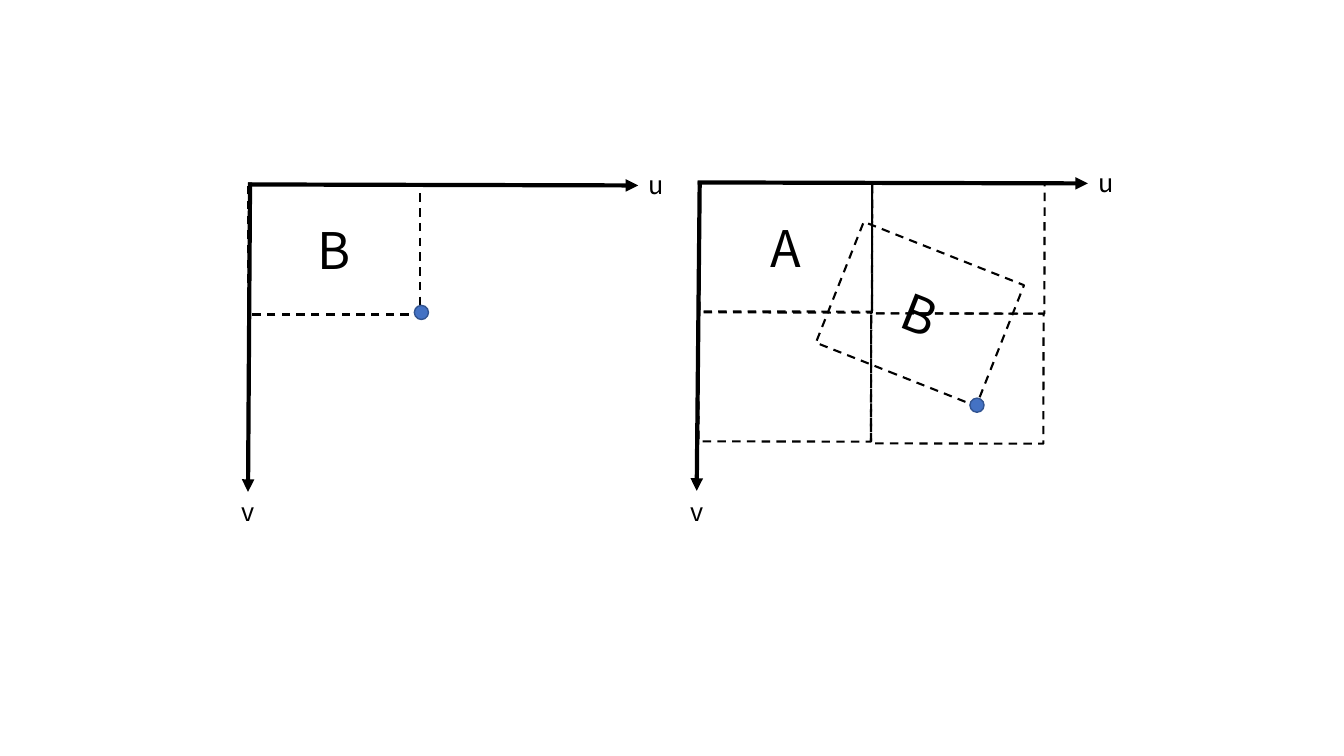
from lxml import etree
from pptx import Presentation
from pptx.dml.color import RGBColor
from pptx.enum.dml import MSO_LINE
from pptx.enum.shapes import MSO_CONNECTOR, MSO_SHAPE
from pptx.enum.text import MSO_ANCHOR, MSO_AUTO_SIZE, PP_ALIGN
from pptx.oxml.ns import qn
from pptx.util import Pt

PX = 9144  # 100 px to the inch
FONT = "Noto Sans CJK SC"
BLACK, BLUE, DARK_BLUE = "000000", "4472C4", "325491"
CELL_W, CELL_H, DOT = 171, 129, 14

# Content: cells are (text, left, top, rotation)
CELLS = [
    ("B", 246, 183, 0),
    ("A", 694, 181, 0.1),
    ("B", 827, 247, 21.6),
    ("", 865, 182, 0.1),
    ("", 864, 311, 0.1),
    ("", 693, 309, 0.1),
]
# Axes are (start x, start y, end x, end y)
AXES = [
    (246, 183, 633, 184),
    (248, 181, 246, 488),
    (692, 181, 1079, 182),
    (694, 180, 691, 487),
]
# Labels are (text, left, top, width)
LABELS = [
    ("u", 633, 163, 34),
    ("v", 230, 487, 32),
    ("u", 1080, 161, 34),
    ("v", 675, 487, 32),
]
DOTS = [(411, 303), (962, 395)]


def emu(*lengths):
    return [length * PX for length in lengths]


def color(hex_code):
    return RGBColor.from_string(hex_code)


def set_line(line, hex_code, width):
    line.color.rgb = color(hex_code)
    line.width = Pt(width)


def write(shape, text, size):
    para = shape.text_frame.paragraphs[0]
    para.text = text
    para.alignment = PP_ALIGN.CENTER
    para.font.name = FONT
    para.font.size = Pt(size)
    para.font.color.rgb = color(BLACK)


deck = Presentation()
deck.slide_width, deck.slide_height = emu(1333, 750)
page = deck.slides.add_slide(deck.slide_layouts[6])

# Dashed cells
for text, left, top, rotation in CELLS:
    cell = page.shapes.add_shape(MSO_SHAPE.RECTANGLE, *emu(left, top, CELL_W, CELL_H))
    cell.rotation = rotation
    cell.shadow.inherit = False
    cell.fill.background()
    set_line(cell.line, BLACK, 1.5)
    cell.line.dash_style = MSO_LINE.DASH
    if text:
        cell.text_frame.vertical_anchor = MSO_ANCHOR.MIDDLE
        write(cell, text, 36)

# Axes with arrowheads
for ends in AXES:
    axis = page.shapes.add_connector(MSO_CONNECTOR.STRAIGHT, *emu(*ends))
    set_line(axis.line, BLACK, 3)
    etree.SubElement(axis.line._get_or_add_ln(), qn("a:tailEnd"), type="triangle")
    etree.SubElement(axis._element.spPr, qn("a:effectLst"))

# Axis names
for text, left, top, width in LABELS:
    label = page.shapes.add_textbox(*emu(left, top, width, 40))
    label.text_frame.word_wrap = False
    label.text_frame.auto_size = MSO_AUTO_SIZE.SHAPE_TO_FIT_TEXT
    write(label, text, 18)

# Corner dots
for left, top in DOTS:
    dot = page.shapes.add_shape(MSO_SHAPE.OVAL, *emu(left, top, DOT, DOT))
    dot.shadow.inherit = False
    dot.fill.solid()
    dot.fill.fore_color.rgb = color(BLUE)
    set_line(dot.line, DARK_BLUE, 1)

deck.save("out.pptx")
